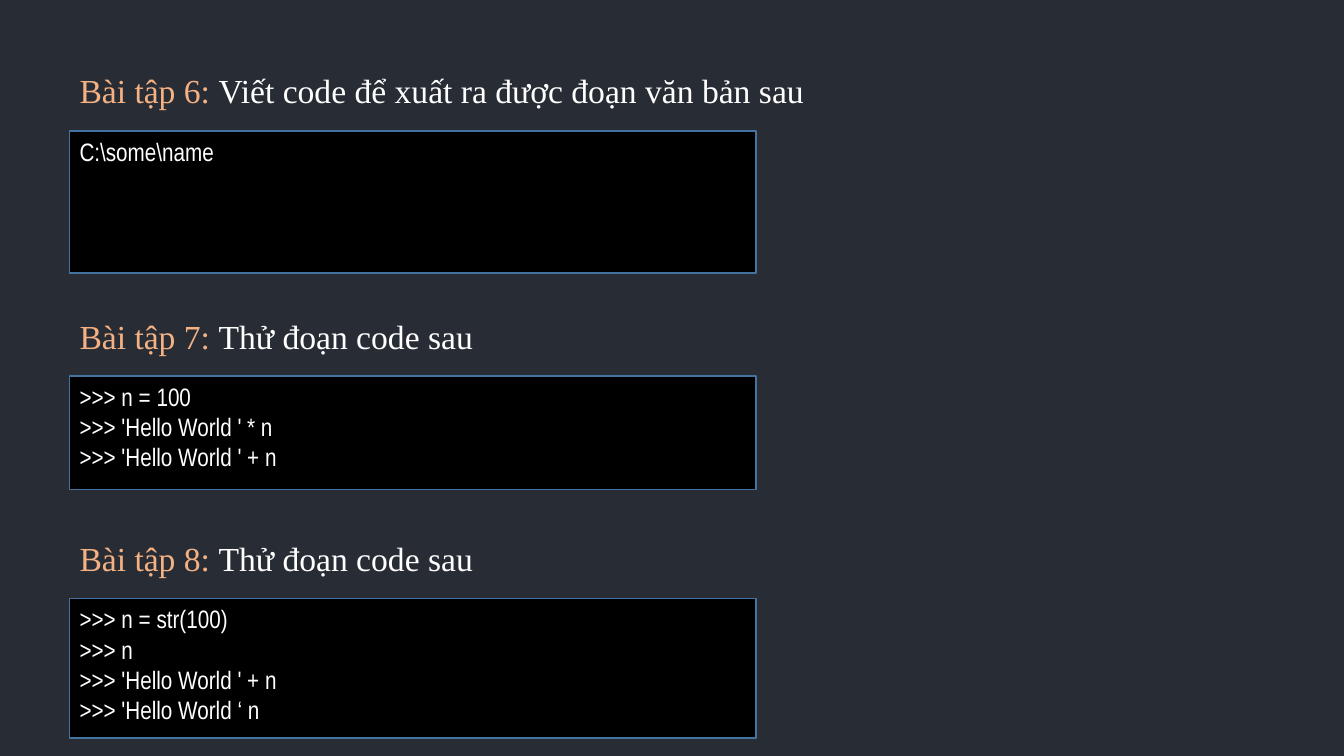
import pptx
import pptx.util
import pptx.dml.color
import pptx.enum.shapes
import pptx.enum.text

Inches = pptx.util.Inches
Anchor = pptx.enum.text.MSO_ANCHOR


def color(code):
    return pptx.dml.color.RGBColor.from_string(code)


def write(shape, lines, font, size, anchor):
    """Fill a shape with lines, each a list of (text, color) runs."""
    frame = shape.text_frame
    frame.word_wrap = True
    frame.vertical_anchor = anchor
    for i, line in enumerate(lines):
        para = frame.paragraphs[0] if i == 0 else frame.add_paragraph()
        para.alignment = pptx.enum.text.PP_ALIGN.LEFT
        for text, tint in line:
            run = para.add_run()
            run.text = text
            run.font.name = font
            run.font.size = pptx.util.Pt(size)
            run.font.color.rgb = color(tint)


# Slide and background
deck = pptx.Presentation()
deck.slide_width = Inches(13.33)
deck.slide_height = Inches(7.5)
slide = deck.slides.add_slide(deck.slide_layouts[6])
slide.background.fill.solid()
slide.background.fill.fore_color.rgb = color("282C34")

# Tasks: label, title, title top, code top, code height, code lines
left = Inches(0.69)
tasks = [
    ("Bài tập 6: ", "Viết code để xuất ra được đoạn văn bản sau", 0.61, 1.3, 1.41,
     ["C:\\some\\name"]),
    ("Bài tập 7: ", "Thử đoạn code sau", 3.05, 3.73, 1.13,
     [">>> n = 100", ">>> 'Hello World ' * n", ">>> 'Hello World ' + n"]),
    ("Bài tập 8: ", "Thử đoạn code sau", 5.26, 5.94, 1.38,
     [">>> n = str(100)", ">>> n", ">>> 'Hello World ' + n", ">>> 'Hello World ‘ n"]),
]

for label, title, top, code_top, height, code in tasks:
    # Code panel
    panel = slide.shapes.add_shape(
        pptx.enum.shapes.MSO_SHAPE.RECTANGLE,
        left, Inches(code_top), Inches(6.81), Inches(height))
    panel.shadow.inherit = False
    panel.fill.solid()
    panel.fill.fore_color.rgb = color("000000")
    panel.line.color.rgb = color("43739E")
    panel.line.width = pptx.util.Pt(1)
    write(panel, [[(line, "FFFFFF")] for line in code],
          font="Arial Narrow", size=18, anchor=Anchor.TOP)

    # Heading
    head = slide.shapes.add_textbox(left, Inches(top), Inches(11.72), Inches(0.56))
    write(head, [[(label, "F4B183"), (title, "FFFFFF")]],
          font="Times New Roman", size=24, anchor=Anchor.MIDDLE)

deck.save("out.pptx")
